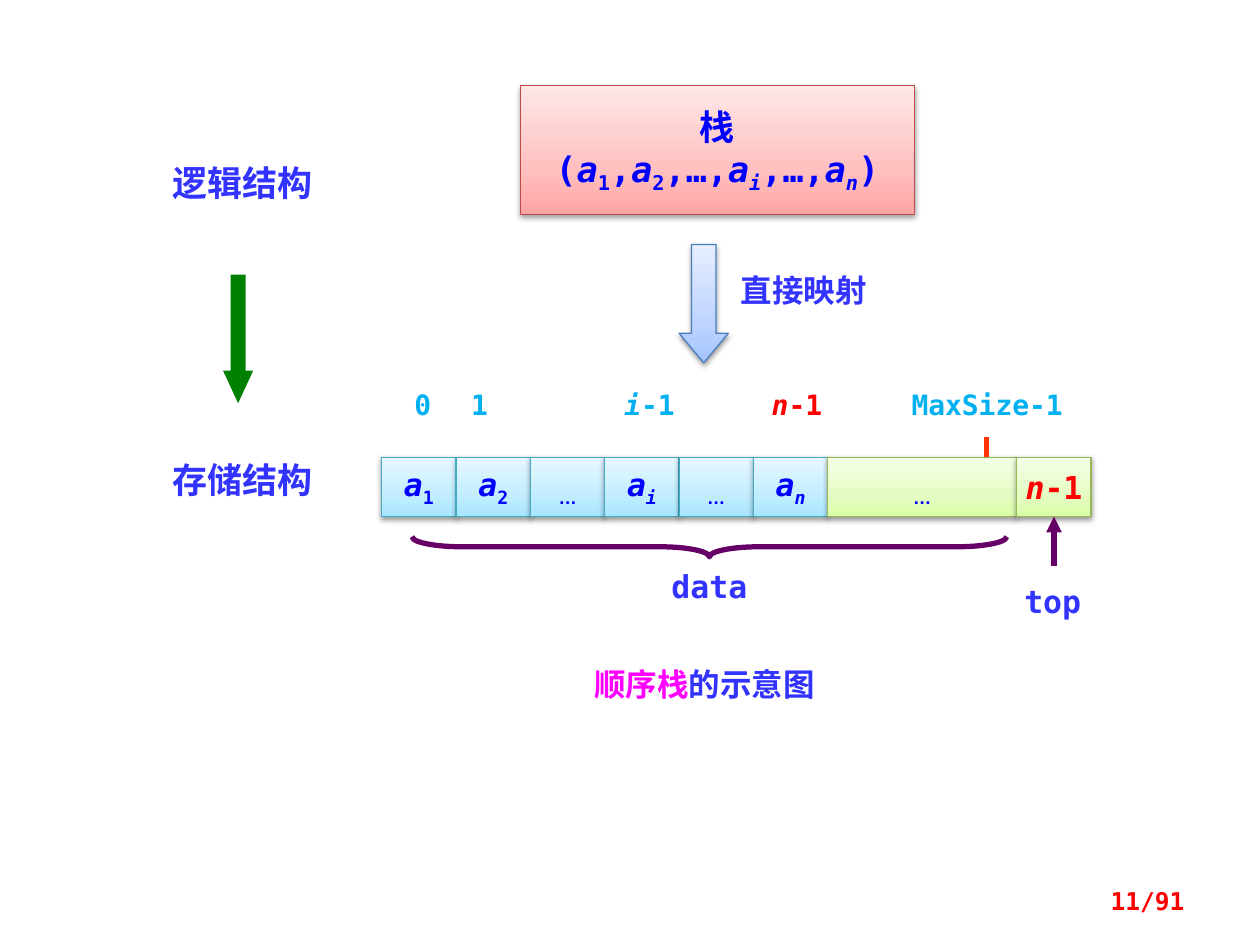
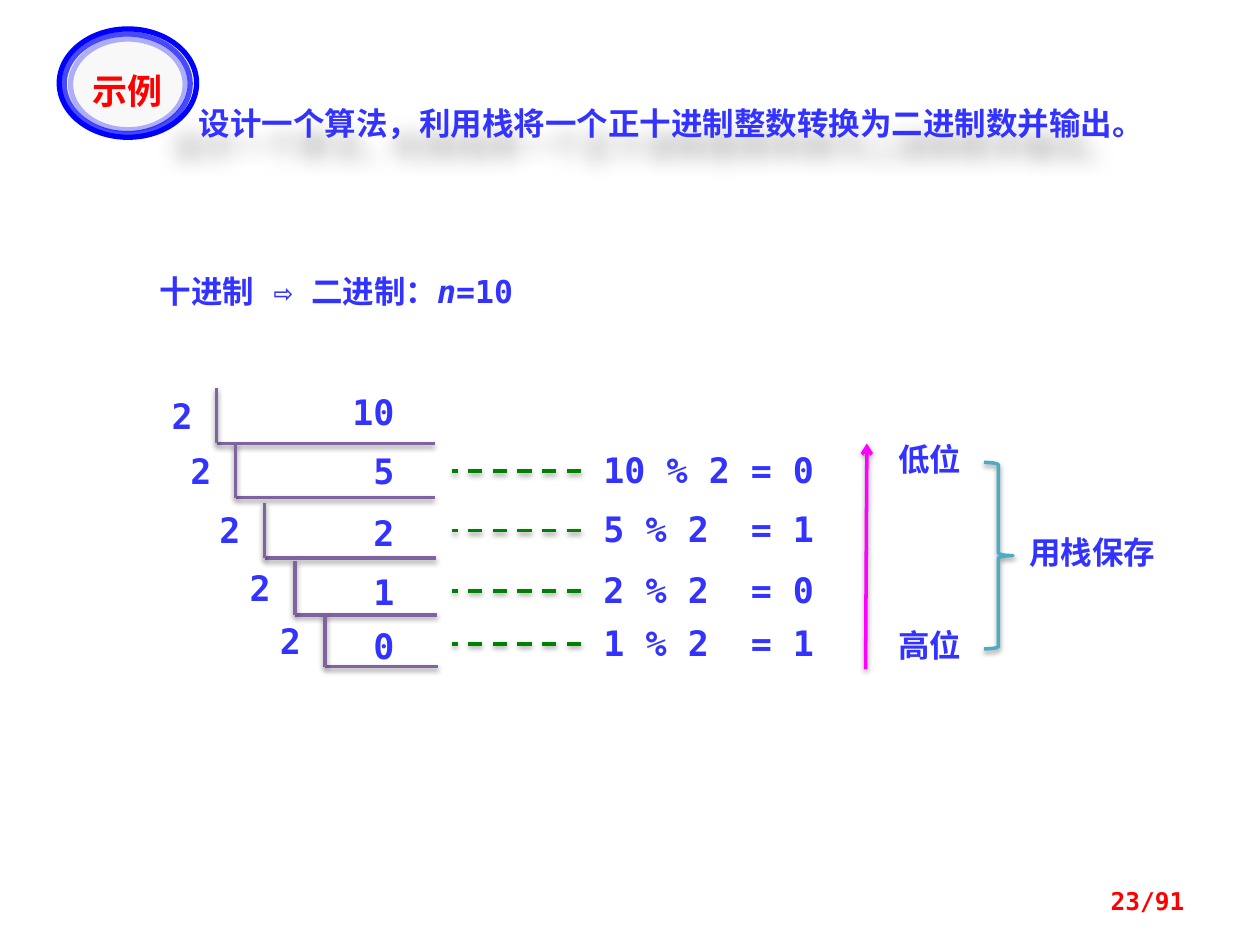
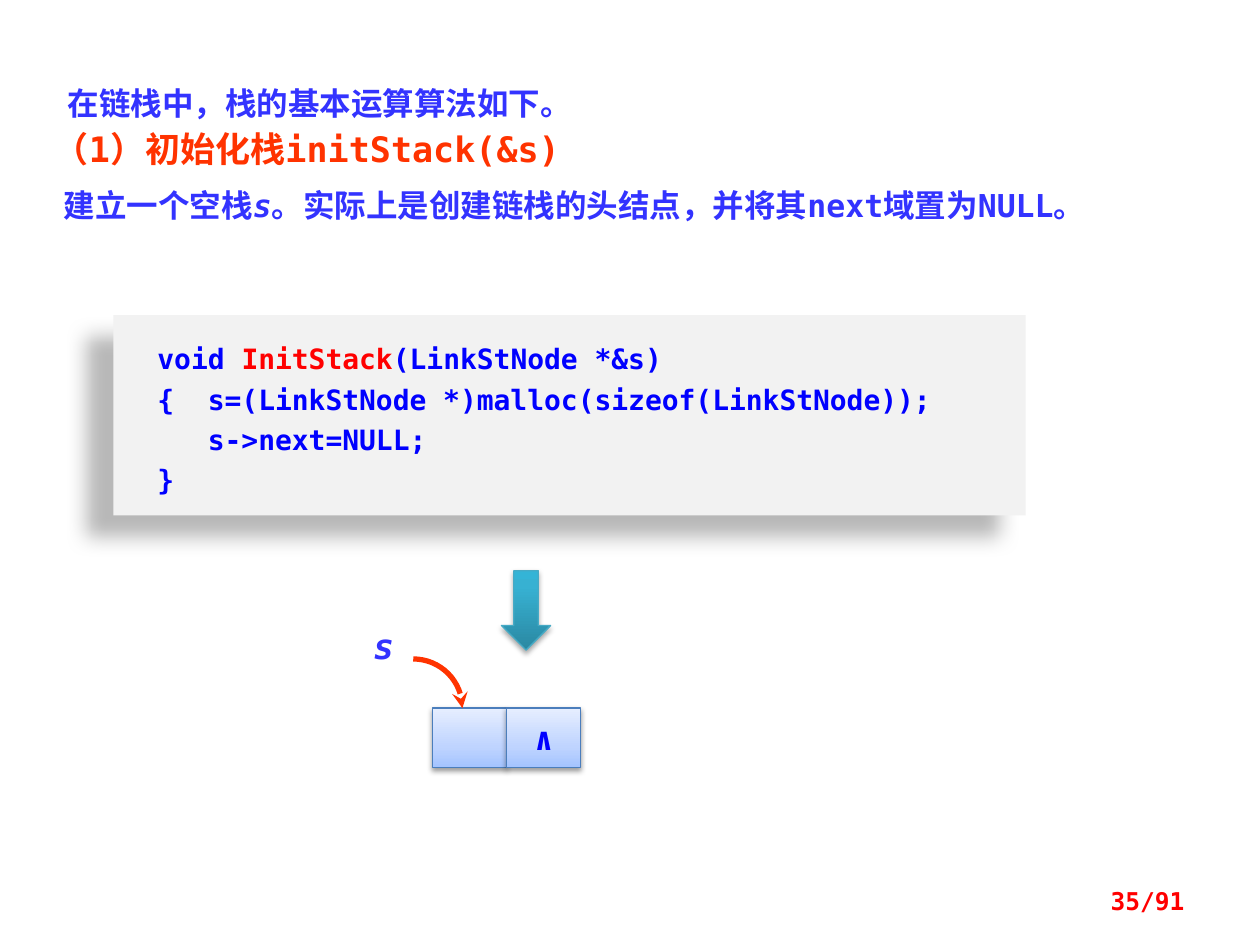
from copy import deepcopy
from math import cos, pi, sin

from lxml.etree import SubElement
from pptx import Presentation
from pptx.dml.color import RGBColor
from pptx.enum.dml import MSO_LINE as DASH
from pptx.enum.shapes import MSO_CONNECTOR as CONNECTOR, MSO_SHAPE as SHAPE
from pptx.enum.text import MSO_ANCHOR as ANCHOR, MSO_AUTO_SIZE as AUTO_SIZE, PP_ALIGN as ALIGN
from pptx.oxml.ns import qn
from pptx.util import Inches, Pt

COLORS = {
    "text": "3333FF", "code": "0000FF", "red": "FF0000", "orange": "FF3300",
    "magenta": "FF00FF", "index": "00B0F0", "green": "008000", "plum": "660066",
    "violet": "8064A2", "teal": "4BACC6", "badge": "F8F8F8", "panel": "F2F2F2",
    "black": "000000", "red edge": "BF4C48", "blue edge": "4B7EBC",
    "cyan edge": "46AAC5", "lime edge": "98B955",
}
GRADIENTS = {
    "red": [(0, "FFA6A5"), (0.35, "FFC0BF"), (1, "FFE7E7")],
    "blue": [(0, "A4C4FF"), (0.35, "BFD4FF"), (1, "E6EEFF")],
    "cyan": [(0, "A7E6FF"), (0.35, "C1EDFF"), (1, "E7F8FF")],
    "lime": [(0, "DAFDA7"), (0.35, "E4FCC2"), (1, "F5FFE7")],
    "deep": [(0, "2A88A2"), (0.8, "37B1D2"), (1, "34B4D6")],
}
MONO, CJK, CJK_JP, SANS = "DejaVu Sans Mono", "Noto Sans CJK SC", "Noto Sans CJK JP", "Arial"
# Shadows: opacity in percent, blur and distance in points, direction in degrees
SOFT = (38, 3.1, 1.6, 90)
DEEP = (35, 3.1, 1.8, 90)
CAST = (28, 11.8, 19.7, 141)
ITALIC = {"italic": True}
CELL_W, CELL_H = 0.59, 0.47


def rgb(name):
    return RGBColor.from_string(COLORS[name])


def term(index):
    """Runs for the list element a with a subscript; letters are italic."""
    return [("a", ITALIC), (index, {"sub": True, "italic": index.isalpha()})]


class Deck:
    def __init__(self):
        self.prs = Presentation()
        self.prs.slide_width, self.prs.slide_height = Inches(10), Inches(7.5)
        self.shapes = None

    def new_slide(self, number):
        self.shapes = self.prs.slides.add_slide(self.prs.slide_layouts[6]).shapes
        self.text((7.17, 6.95, 2.33, 0.4), f"{number}/91", 14, "red",
                  align=ALIGN.RIGHT, anchor=ANCHOR.MIDDLE)

    def add_runs(self, frame, paragraphs, size, color="text", font=MONO,
                 align=ALIGN.LEFT, spacing=None):
        """Fill a frame with paragraphs, each a list of strings or (string, style) runs."""
        if isinstance(paragraphs, str):
            paragraphs = [[paragraphs]]
        for number, pieces in enumerate(paragraphs):
            paragraph = frame.add_paragraph() if number else frame.paragraphs[0]
            paragraph.alignment = align
            paragraph.line_spacing = spacing
            for piece in pieces:
                words, style = (piece, {}) if isinstance(piece, str) else piece
                run = paragraph.add_run()
                run.text = words
                run.font.name = font
                run.font.size = Pt(style.get("size", size))
                run.font.bold = True
                run.font.italic = style.get("italic", False)
                run.font.color.rgb = rgb(style.get("color", color))
                props = run.font._element
                SubElement(props, qn("a:ea"), typeface=font)
                if style.get("sub"):
                    props.set("baseline", "-25000")

    def text(self, box, paragraphs, size, color="text", anchor=ANCHOR.TOP,
             shadow=None, **style):
        label = self.shapes.add_textbox(*map(Inches, box))
        frame = label.text_frame
        frame.word_wrap = True
        frame.vertical_anchor = anchor
        if anchor == ANCHOR.TOP:
            frame.auto_size = AUTO_SIZE.SHAPE_TO_FIT_TEXT
        self.add_runs(frame, paragraphs, size, color, **style)
        self.effects(label, shadow)
        return frame

    def centred(self, box, paragraphs, size, color="text", **style):
        return self.text(box, paragraphs, size, color, align=ALIGN.CENTER, **style)

    def shape(self, kind, box, fill=None, edge=None, weight=0.75, shadow=None,
              adjust=(), opacity=None):
        """Add a preset shape; fill names a gradient when given as a 1-tuple."""
        figure = self.shapes.add_shape(kind, *map(Inches, box))
        for number, value in enumerate(adjust):
            figure.adjustments[number] = value
        if isinstance(fill, tuple):
            self.gradient(figure, GRADIENTS[fill[0]])
        elif fill:
            figure.fill.solid()
            figure.fill.fore_color.rgb = rgb(fill)
        else:
            figure.fill.background()
        self.outline(figure, edge, weight, opacity=opacity)
        self.effects(figure, shadow)
        return figure

    def cell(self, box, runs=(), theme="cyan", color="code", font=MONO, size=18):
        """Add a shaded rectangle with centred text."""
        block = self.shape(SHAPE.RECTANGLE, box, (theme,), f"{theme} edge", shadow=SOFT)
        if runs:
            block.text_frame.word_wrap = False
            block.text_frame.vertical_anchor = ANCHOR.MIDDLE
            self.add_runs(block.text_frame, runs, size, color, font, ALIGN.CENTER)
        return block

    def line(self, start, end, color, weight=2, dash=None, tail=None, shadow=SOFT):
        link = self.shapes.add_connector(CONNECTOR.STRAIGHT, *map(Inches, (*start, *end)))
        self.outline(link, color, weight, dash, tail)
        self.effects(link, shadow)
        return link

    def curve(self, centre, radius, color, weight, steps=16):
        """Draw a quarter circle from top to right, ending in an arrowhead."""
        x, y = centre
        points = [(Inches(x + radius * sin(pi / 2 * n / steps)),
                   Inches(y - radius * cos(pi / 2 * n / steps))) for n in range(steps + 1)]
        builder = self.shapes.build_freeform(*points[0])
        builder.add_line_segments(points[1:], close=False)
        arc = builder.convert_to_shape()
        arc.fill.background()
        self.outline(arc, color, weight, tail="stealth")
        self.effects(arc)

    @staticmethod
    def gradient(figure, stops):
        figure.fill.gradient()
        figure.fill.gradient_angle = 90
        stop_list = figure._element.spPr.find(".//" + qn("a:gsLst"))
        stop_list.insert(1, deepcopy(stop_list[0]))
        for stop, (position, color) in zip(figure.fill.gradient_stops, stops):
            stop.position = position
            stop.color.rgb = RGBColor.from_string(color)

    @staticmethod
    def outline(figure, color, weight, dash=None, tail=None, opacity=None):
        if color is None:
            figure.line.fill.background()
            return
        figure.line.color.rgb = rgb(color)
        figure.line.width = Pt(weight)
        if dash:
            figure.line.dash_style = dash
        stroke = figure._element.spPr.find(qn("a:ln"))
        if tail:
            SubElement(stroke, qn("a:tailEnd"), type=tail)
        if opacity:
            SubElement(stroke.find(".//" + qn("a:srgbClr")), qn("a:alpha"),
                       val=str(opacity * 1000))

    @staticmethod
    def effects(figure, shadow=None):
        """Replace the theme's effects by the given shadow, or by none."""
        effect_list = SubElement(figure._element.spPr, qn("a:effectLst"))
        if shadow:
            opacity, blur, distance, direction = shadow
            outer = SubElement(effect_list, qn("a:outerShdw"), blurRad=str(Pt(blur)),
                               dist=str(Pt(distance)), dir=str(direction * 60000),
                               algn="ctr", rotWithShape="0")
            tone = SubElement(outer, qn("a:srgbClr"), val=COLORS["black"])
            SubElement(tone, qn("a:alpha"), val=str(opacity * 1000))


def sequential_stack(deck):
    deck.new_slide(11)
    elements = ["(", *term("1"), ",", *term("2"), ",…,", *term("i"), ",…,", *term("n"), ")"]
    deck.cell((4.13, 0.68, 3.13, 1.02), [["栈"], elements], "red", size=20)
    deck.shape(SHAPE.DOWN_ARROW, (5.39, 1.94, 0.39, 0.94), ("blue",), "blue edge",
               shadow=SOFT, adjust=(0.5, 0.6))
    deck.text((5.78, 2.1, 1.5, 0.4), "直接映射", 18, font=CJK)

    left, top = 3.03, 3.63
    dots = [("…", {"sub": True})]
    for column, runs in enumerate([term("1"), term("2"), dots, term("i"), dots, term("n")]):
        deck.cell((left + column * CELL_W, top, CELL_W, CELL_H), [runs],
                  font=SANS if runs is dots else MONO)
    deck.cell((6.57, top, 1.5, CELL_H), [dots], "lime", font=SANS)
    last_index = [[("n", ITALIC), "-1"]]
    top_cell = deck.cell((8.07, top, CELL_W, CELL_H), last_index, "lime", "red")

    for x, width, words, color in [
        (7.01, 1.65, "MaxSize-1", "index"), (3.08, 0.55, "0", "index"),
        (3.53, 0.55, "1", "index"), (4.84, 0.63, [[("i", ITALIC), "-1"]], "index"),
        (5.97, 0.71, last_index, "red"),
    ]:
        deck.centred((x, 3.03, width, 0.37), words, 16, color)
    deck.line((7.83, 3.47), (7.83, top), "orange", 3, shadow=None)

    brace = deck.shape(SHAPE.RIGHT_BRACE, (5.55, 1.98, 0.16, 4.72), edge="plum", weight=3,
                       adjust=(2.49, 0.5))
    brace.rotation = 90
    deck.centred((5.08, 4.45, 1.1, 0.4), "data", 18)
    deck.centred((7.92, 4.57, 0.87, 0.4), "top", 18)
    pointer_x = 8.07 + CELL_W / 2
    pointer = deck.line((pointer_x, 4.49), (pointer_x, top + CELL_H), "plum", 3,
                        tail="triangle", shadow=None)
    pointer.end_connect(top_cell, 2)

    deck.centred((4.3, 5.23, 2.58, 0.4), [[("顺序栈", {"color": "magenta"}), "的示意图"]],
                 18, font=CJK)
    for y, level in [(1.23, "逻辑结构"), (3.59, "存储结构")]:
        deck.centred((0.98, y, 1.89, 0.44), level, 20, font=CJK)
    deck.shape(SHAPE.DOWN_ARROW, (1.77, 2.18, 0.24, 1.02), "green", adjust=(0.5, 1.08))


def binary_conversion(deck):
    deck.new_slide(23)
    for box, fill, opacity in [((0.47, 0.23, 1.09, 0.86), "badge", None),
                               ((0.51, 0.27, 1, 0.79), None, 70),
                               ((0.56, 0.31, 0.91, 0.72), None, 30)]:
        deck.shape(SHAPE.OVAL, box, fill, "code", 3, opacity=opacity)
    deck.centred((0.53, 0.5, 0.96, 0.39), "示例", 20, "red", font=CJK_JP)
    deck.text((1.48, 0.78, 7.89, 0.4),
              "设计一个算法，利用栈将一个正十进制整数转换为二进制数并输出。", 18, shadow=CAST)
    deck.text((1.17, 2.11, 3.28, 0.4), [["十进制 ⇨ 二进制：", ("n", ITALIC), "=10"]], 18)

    # Each step: quotient and its top, then the bar's x, top, base and right end
    for quotient, quotient_top, x, bar_top, base, right in [
        ("10", 3.05, 1.72, 3.08, 3.52, 3.45),
        ("5", 3.52, 1.87, 3.52, 3.95, 3.45),
        ("2", 4.01, 2.1, 3.99, 4.43, 3.46),
        ("1", 4.48, 2.34, 4.45, 4.88, 3.47),
        ("0", 4.91, 2.58, 4.87, 5.29, 3.48),
    ]:
        deck.text((2.6, quotient_top, 0.63, 0.44), quotient, 20, align=ALIGN.RIGHT)
        deck.centred((x - 0.47, bar_top, 0.39, 0.44), "2", 20)
        deck.line((x, base), (right, base), "violet")
        deck.line((x, bar_top), (x, base), "violet")

    for y, dividend, remainder in [(3.74, 10, 0), (4.21, 5, 1), (4.69, 2, 0), (5.11, 1, 1)]:
        deck.line((4.61, y), (3.59, y), "green", dash=DASH.DASH)
        division = deck.text((4.69, y - 0.23, 1.88, 0.44),
                             [[f"{dividend} % 2\t= {remainder}"]], 20)
        stops = SubElement(division.paragraphs[0]._p.get_or_add_pPr(), qn("a:tabLst"))
        SubElement(stops, qn("a:tab"), pos=str(Inches(1.17)), algn="l")

    deck.line((6.87, 5.31), (6.88, 3.52), "magenta", tail="arrow")
    for y, place in [(3.44, "低位"), (4.92, "高位")]:
        deck.text((7.03, y, 0.78, 0.4), place, 18, font=CJK)
    deck.shape(SHAPE.RIGHT_BRACE, (7.81, 3.67, 0.23, 1.48), edge="teal", weight=2, shadow=SOFT)
    deck.text((8.07, 4.18, 1.48, 0.4), "用栈保存", 18, font=CJK)


def linked_stack(deck):
    deck.new_slide(35)
    intro = deck.text((0.16, 0.65, 9, 1.38), [
        ["在链栈中，栈的基本运算算法如下。"],
        [("（1）初始化栈initStack(&s)", {"size": 20, "color": "orange"})],
        ["建立一个空栈", ("s", ITALIC), "。实际上是创建链栈的头结点，并将其next域置为NULL。"],
    ], 18, align=ALIGN.JUSTIFY)
    for paragraph, indent, spacing, before in zip(
            intro.paragraphs, (0.28, 0.17, 0.25), (0.9, 0.9, 1.1), (0, 6, 7)):
        paragraph._p.get_or_add_pPr().set("marL", str(Inches(indent)))
        paragraph.line_spacing = spacing
        paragraph.space_before = Pt(before)

    listing = deck.shape(SHAPE.RECTANGLE, (0.9, 2.5, 7.24, 1.59), "panel", shadow=CAST)
    frame = listing.text_frame
    frame.word_wrap = True
    frame.vertical_anchor = ANCHOR.TOP
    frame.margin_left = Inches(0.35)
    frame.margin_top = frame.margin_bottom = Inches(0.16)
    deck.add_runs(frame, [
        ["void ", ("InitStack", {"color": "red"}), "(LinkStNode *&s)"],
        ["{  s=(LinkStNode *)malloc(sizeof(LinkStNode));"],
        ["   s->next=NULL;"],
        ["}"],
    ], 16, "code", spacing=1.2)

    for column, runs in enumerate([(), [["∧"]]]):
        deck.cell((3.43 + column * CELL_W, 5.62, CELL_W, CELL_H), runs, "blue")
    deck.curve((3.28, 5.62), 0.39, "orange", 3)
    deck.centred((2.81, 4.91, 0.47, 0.44), [[("s", ITALIC)]], 20)
    deck.shape(SHAPE.DOWN_ARROW, (3.98, 4.53, 0.39, 0.63), ("deep",), "cyan edge", shadow=DEEP)


def main():
    deck = Deck()
    sequential_stack(deck)
    binary_conversion(deck)
    linked_stack(deck)
    deck.prs.save("out.pptx")


if __name__ == "__main__":
    main()
